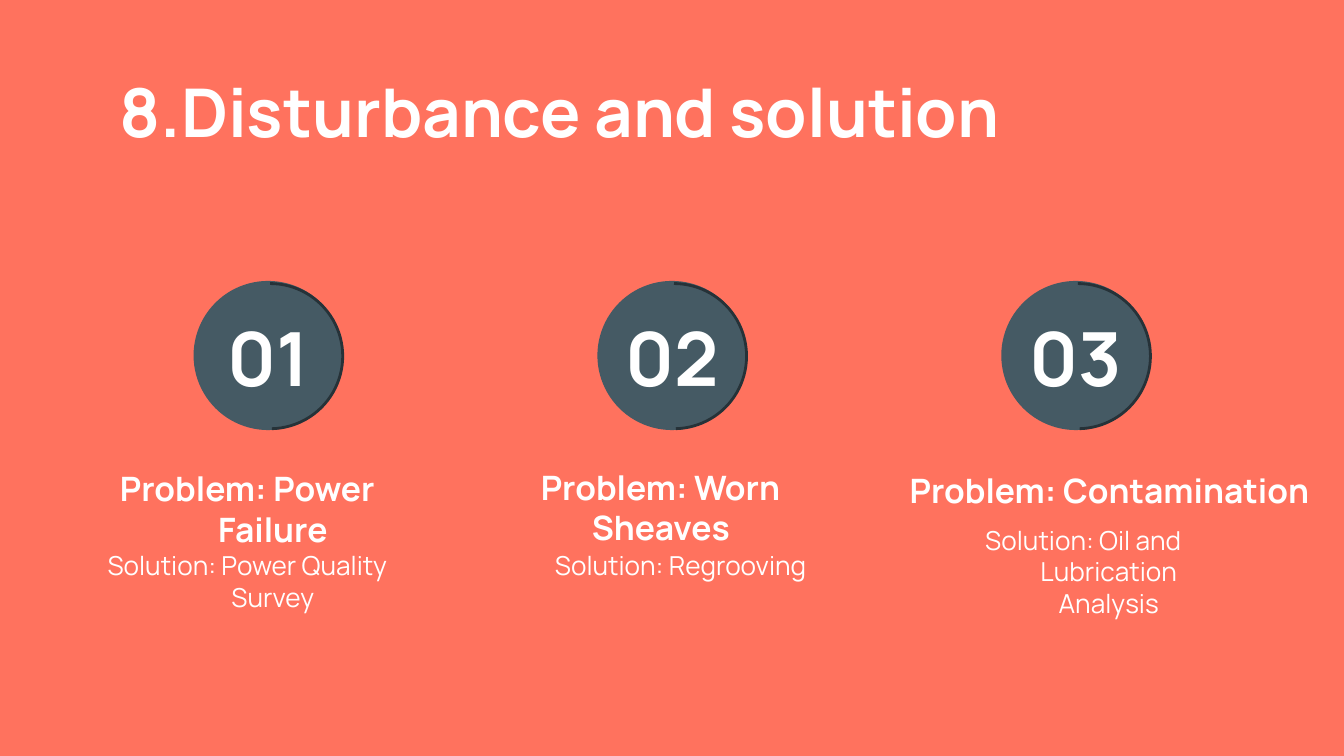
from pptx import Presentation
from pptx import util as u
from pptx.dml.color import RGBColor
from pptx.enum import shapes, text

FONT = "Manrope"
HUES = {"back": "FF725E", "disc": "455A64", "rim": "263238", "ink": "FFFFFF"}
WIDE = 10
HIGH = WIDE * 9 / 16
LEFT, LAST, TOP, DISC = 1.44, 7.45, 2.09, 1.11
MID, HEAD = text.MSO_ANCHOR.MIDDLE, text.MSO_ANCHOR.TOP
CENTER, START = text.PP_ALIGN.CENTER, text.PP_ALIGN.LEFT

ITEMS = [
    ("01", "Problem: Power Failure", (-0.87, 1.49, 2.42), CENTER,
     "Solution: Power Quality Survey", (-0.87, 1.90, 2.42)),
    ("02", "Problem: Worn Sheaves", (-0.64, 1.48, 2.42), START,
     "Solution: Regrooving", (-0.65, 1.90, 2.42)),
    ("03", "Problem: Contamination", (-1.06, 1.35, 3.61), CENTER,
     "Solution: Oil and Lubrication Analysis", (-0.66, 1.71, 2.42)),
]
STEP = (LAST - LEFT) / (len(ITEMS) - 1)


def hue(name):
    return RGBColor.from_string(HUES[name])


def place(shape, box):
    shape.left, shape.top, shape.width, shape.height = map(u.Inches, box)


def write(shape, words, size=14, bold=False, align=CENTER, anchor=HEAD, hang=False):
    frame = shape.text_frame
    frame.word_wrap = True
    frame.auto_size = text.MSO_AUTO_SIZE.NONE
    frame.vertical_anchor = anchor
    frame.margin_left = frame.margin_right = u.Inches(0.1)
    frame.margin_top = frame.margin_bottom = u.Inches(0.1)
    para = frame.paragraphs[0]
    para.alignment = align
    if hang:
        props = para._p.get_or_add_pPr()
        props.set("marL", str(u.Inches(0.5)))
        props.set("indent", str(u.Inches(-0.38)))
    run = para.add_run()
    run.text = words
    run.font.name = FONT
    run.font.size = u.Pt(size)
    run.font.bold = bold
    run.font.color.rgb = hue("ink")


def label(slide, box, words, **form):
    shape = slide.shapes.add_textbox(*map(u.Inches, box))
    write(shape, words, **form)


def badge(slide, box, words):
    x, y, w, h = box
    group = slide.shapes.add_group_shape()
    disc = group.shapes.add_shape(shapes.MSO_SHAPE.OVAL, *map(u.Inches, box))
    disc.shadow.inherit = False
    disc.fill.solid()
    disc.fill.fore_color.rgb = hue("disc")
    disc.line.fill.background()
    rim = group.shapes.add_shape(
        shapes.MSO_SHAPE.ARC,
        *map(u.Inches, (x + 0.03, y + 0.02, w - 0.03, h - 0.03)))
    rim.shadow.inherit = False
    rim.adjustments[0] = 162
    rim.adjustments[1] = 53.15
    rim.fill.background()
    rim.line.color.rgb = hue("rim")
    rim.line.width = u.Pt(1.5)
    label(slide, (x + 0.07, y + 0.18, 0.97, 0.77), words,
          size=40, bold=True, anchor=MID)


def column(slide, x, y, item):
    mark, fault, spot, align, cure, base = item
    badge(slide, (x, y, DISC, DISC), mark)
    dx, dy, w = spot
    label(slide, (x + dx, y + dy, w, 0.41), fault,
          size=18, bold=True, align=align, anchor=MID, hang=True)
    dx, dy, w = base
    label(slide, (x + dx, y + dy, w, 0.81), cure, hang=True)


def header(slide, box, words):
    title = slide.shapes.title
    place(title, box)
    write(title, words, size=36, bold=True, align=START)


def main():
    deck = Presentation()
    deck.slide_width, deck.slide_height = u.Inches(WIDE), u.Inches(HIGH)
    slide = deck.slides.add_slide(deck.slide_layouts[5])
    slide.background.fill.solid()
    slide.background.fill.fore_color.rgb = hue("back")
    header(slide, (0.79, 0.42, 8.43, 0.67), "8.Disturbance and solution")
    for i, item in enumerate(ITEMS):
        column(slide, LEFT + i * STEP, TOP, item)
    deck.save("out.pptx")


if __name__ == "__main__":
    main()
